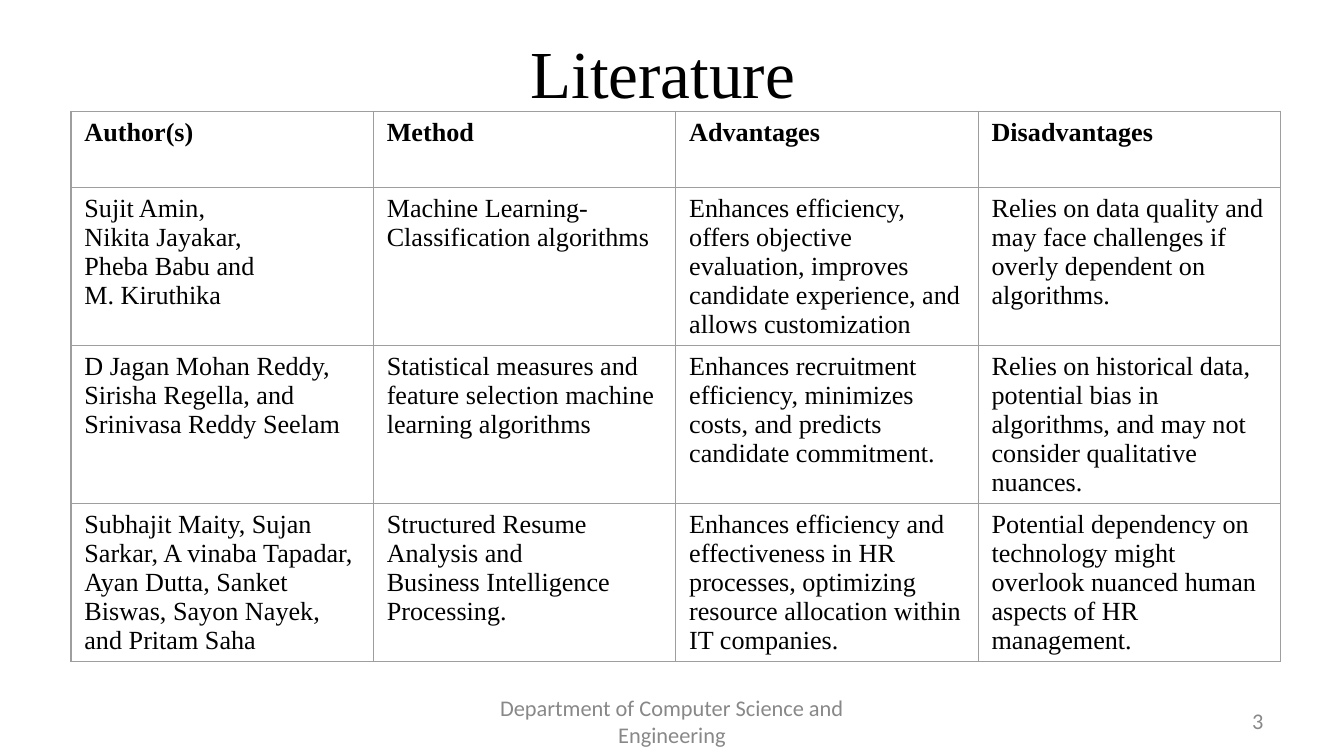
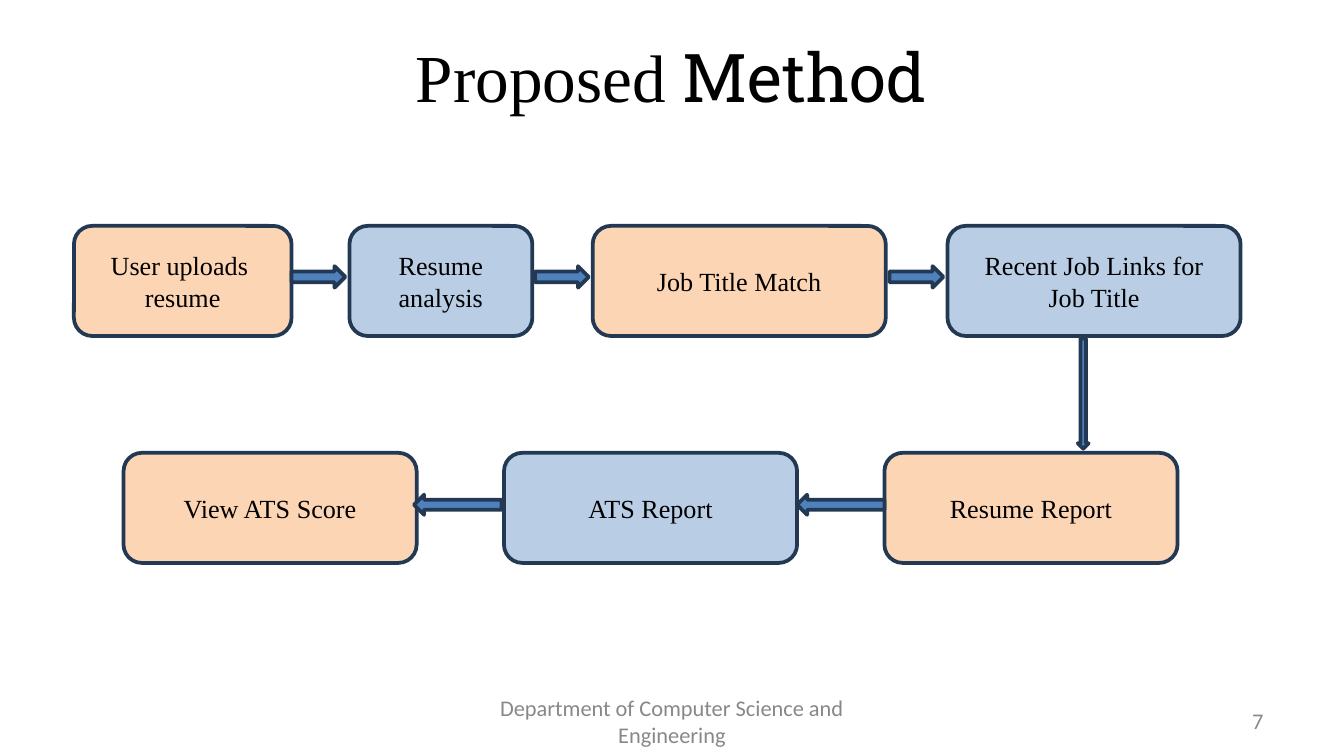
from lxml.etree import SubElement
from pptx import Presentation
from pptx.dml.color import RGBColor
from pptx.enum.shapes import MSO_SHAPE
from pptx.enum.text import MSO_ANCHOR, PP_ALIGN
from pptx.oxml.ns import qn
from pptx.util import Pt

BLACK = RGBColor(0x00, 0x00, 0x00)
GREY = RGBColor(0x88, 0x88, 0x88)
GRID = RGBColor(0x9E, 0x9E, 0x9E)
PEACH = RGBColor(0xFC, 0xD5, 0xB5)
PALE_BLUE = RGBColor(0xB9, 0xCD, 0xE5)
ARROW_BLUE = RGBColor(0x4F, 0x81, 0xBD)
NAVY = RGBColor(0x23, 0x39, 0x53)
SERIF = "Times New Roman"
DEPARTMENT = "Department of Computer Science and Engineering"


def write(frame, text, size=14, font=SERIF, color=BLACK, bold=False,
          align=PP_ALIGN.CENTER, anchor=MSO_ANCHOR.MIDDLE, spacing=None):
    """Fill a text frame; a newline starts a paragraph, a vertical tab breaks a line."""
    frame.text = text
    frame.word_wrap = True
    frame.vertical_anchor = anchor
    for paragraph in frame.paragraphs:
        paragraph.alignment = align
        paragraph.line_spacing = spacing
        for run in paragraph.runs:
            run.font.size = Pt(size)
            run.font.name = font
            run.font.bold = bold
            run.font.color.rgb = color


def add_block(slide, kind, left, top, width, height, fill):
    block = slide.shapes.add_shape(kind, Pt(left), Pt(top), Pt(width), Pt(height))
    block.shadow.inherit = False
    block.fill.solid()
    block.fill.fore_color.rgb = fill
    block.line.color.rgb = NAVY
    block.line.width = Pt(2)
    return block


prs = Presentation()
prs.slide_width, prs.slide_height = Pt(720), Pt(405)

# Titles, footers and page numbers
slides = []
for heading, left, top, width, number in (
    ("Literature ", 118.8, 13.7, 481.7, "3"),
    ("Proposed", 193, 15.8, 333.4, "7"),
):
    slide = prs.slides.add_slide(prs.slide_layouts[5])
    title = slide.shapes.title
    title.left, title.top, title.width, title.height = Pt(left), Pt(top), Pt(width), Pt(49.7)
    write(title.text_frame, heading, size=36)
    for note, note_left, note_width, align in (
        (number, 516, 168, PP_ALIGN.RIGHT),
        (DEPARTMENT, 246, 228, PP_ALIGN.CENTER),
    ):
        footer = slide.shapes.add_textbox(Pt(note_left), Pt(375.3), Pt(note_width), Pt(21.6))
        write(footer.text_frame, note, size=12, font="Calibri", color=GREY, align=align)
    slides.append(slide)
literature, method = slides

# Literature table
papers = [
    ("Author(s)", "Method", "Advantages", "Disadvantages"),
    (
        "Sujit Amin,\nNikita Jayakar,\nPheba Babu and\nM. Kiruthika",
        "Machine Learning-\vClassification algorithms",
        "Enhances efficiency, offers objective evaluation, improves candidate experience, "
        "and allows customization",
        "Relies on data quality and may face challenges if overly dependent on algorithms.",
    ),
    (
        "D Jagan Mohan Reddy,\nSirisha Regella, and\nSrinivasa Reddy Seelam",
        "Statistical measures and feature selection machine learning algorithms",
        "Enhances recruitment efficiency, minimizes costs, and predicts candidate commitment.",
        "Relies on historical data, potential bias in algorithms, and may not consider "
        "qualitative nuances.",
    ),
    (
        "Subhajit Maity, Sujan Sarkar, A vinaba Tapadar, Ayan Dutta, Sanket Biswas, "
        "Sayon Nayek, and Pritam Saha",
        "Structured Resume Analysis and\nBusiness Intelligence Processing.",
        "Enhances efficiency and effectiveness in HR processes, optimizing resource "
        "allocation within IT companies.",
        "Potential dependency on technology might overlook nuanced human aspects of HR "
        "management.",
    ),
]
table = literature.shapes.add_table(4, 4, Pt(38), Pt(59.6), Pt(648), Pt(294.8)).table
table.first_row = table.horz_banding = False
for row, paper in enumerate(papers):
    table.rows[row].height = Pt(84.7 if row else 40.7)
    for column, entry in enumerate(paper):
        cell = table.cell(row, column)
        write(cell.text_frame, entry, bold=row == 0, align=PP_ALIGN.LEFT,
              anchor=MSO_ANCHOR.TOP, spacing=Pt(15.5))
        cell.vertical_anchor = MSO_ANCHOR.TOP
        properties = cell._tc.get_or_add_tcPr()
        for side in ("a:lnL", "a:lnR", "a:lnT", "a:lnB"):
            border = SubElement(properties, qn(side), w=str(Pt(0.75)))
            paint = SubElement(border, qn("a:solidFill"))
            SubElement(paint, qn("a:srgbClr"), val=str(GRID))
        cell.fill.background()

# Second font in the method title
second_word = method.shapes.title.text_frame.paragraphs[0].add_run()
second_word.text = " Method"
second_word.font.size = Pt(36)
second_word.font.name = "Roboto Slab"
second_word.font.color.rgb = BLACK

# Flow steps: the upper row runs right, the lower row runs back left
UPPER, LOWER = 121, 242.6
WIDE, LOWER_PITCH = 157, 203.8
steps = [
    ("User uploads \nresume", 39.6, UPPER, 116.6),
    ("Resume\vanalysis", 187.2, UPPER, 98),
    ("Job Title Match", 317.5, UPPER, WIDE),
    ("Recent Job Links for Job Title", 507.6, UPPER, WIDE),
]
for place, label in enumerate(("View ATS Score", "ATS Report", "Resume Report")):
    steps.append((label, 66.2 + place * LOWER_PITCH, LOWER, WIDE))
for label, left, top, width in steps:
    fill = PALE_BLUE if label.startswith(("Resume\v", "Recent", "ATS")) else PEACH
    step = add_block(method, MSO_SHAPE.ROUNDED_RECTANGLE, left, top, width, 59, fill)
    write(step.text_frame, label)

# Arrows between the steps
for left in (156.2, 286.6, 476.6):
    add_block(method, MSO_SHAPE.RIGHT_ARROW, left, 142.6, 28.8, 11.5, ARROW_BLUE)
add_block(method, MSO_SHAPE.DOWN_ARROW, 577.4, 181.4, 5.8, 59, ARROW_BLUE)
for left in (427, 221.8):
    add_block(method, MSO_SHAPE.LEFT_ARROW, left, 265, 46.8, 10.8, ARROW_BLUE)

prs.save("out.pptx")
